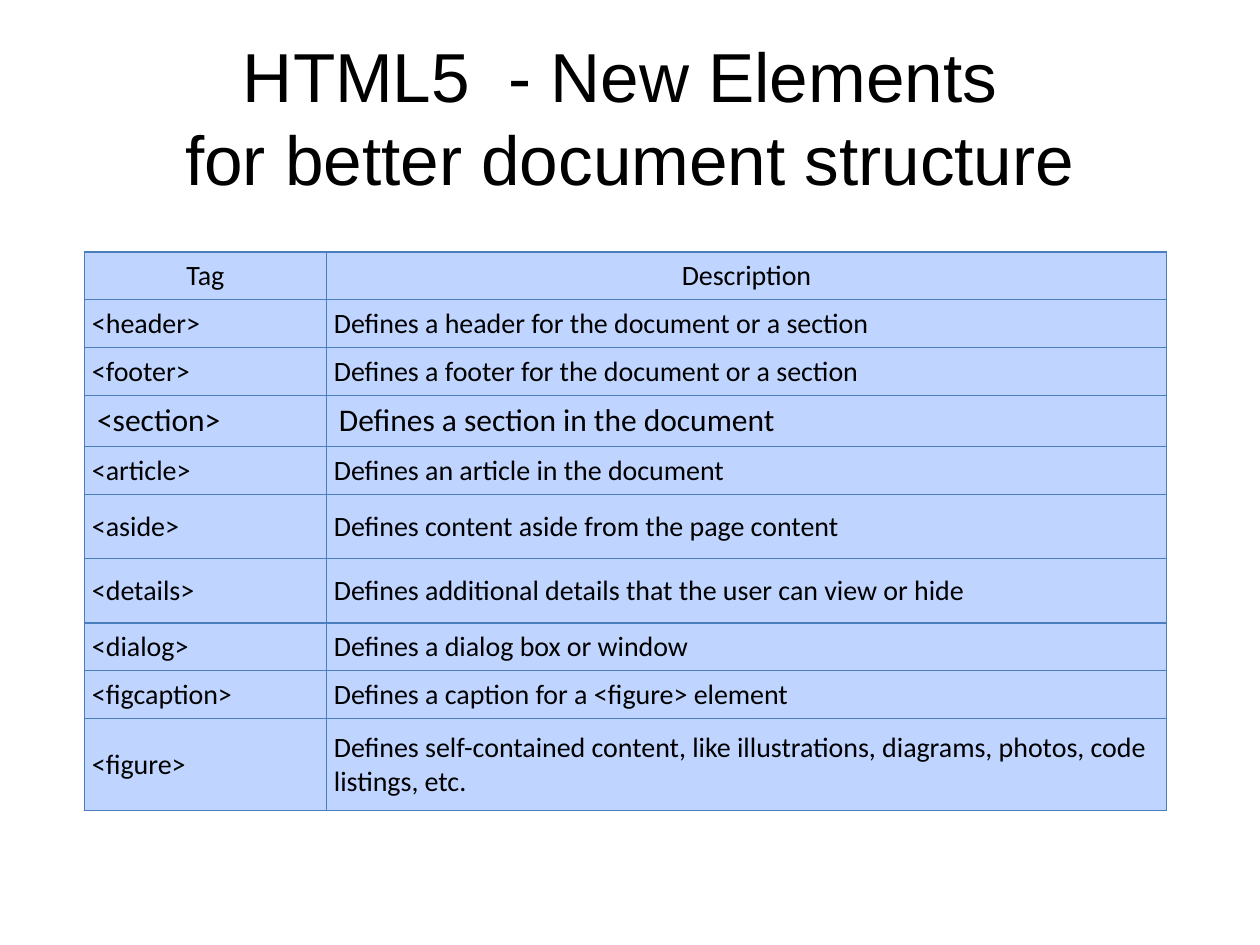
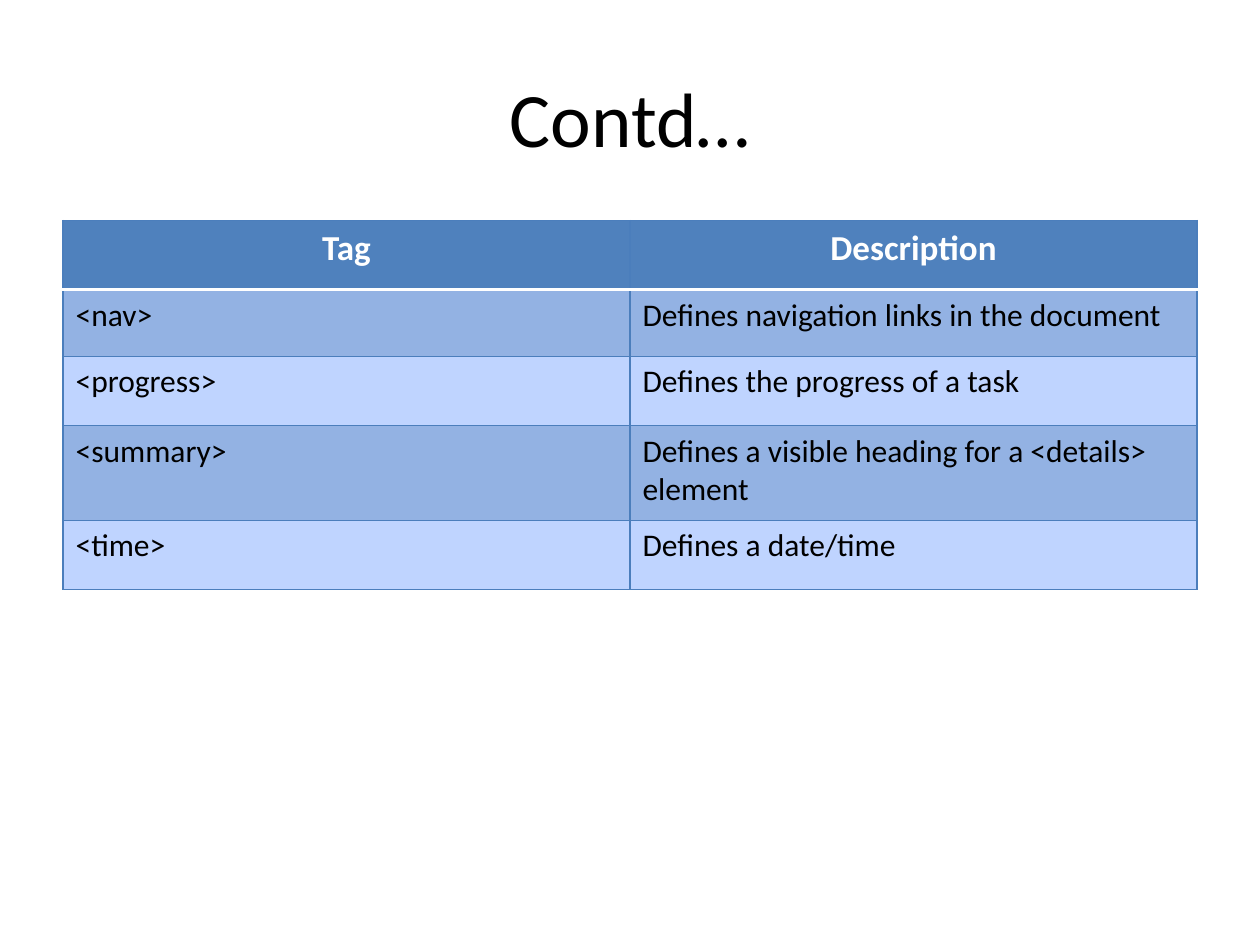
from lxml.etree import SubElement
from pptx import Presentation
from pptx.dml.color import RGBColor
from pptx.enum.text import MSO_ANCHOR, MSO_AUTO_SIZE, PP_ALIGN
from pptx.oxml.ns import qn
from pptx.util import Inches, Pt

# Content
HEAD = ("Tag", "Description")
NEW = [
    ("<header>", "Defines a header for the document or a section"),
    ("<footer>", "Defines a footer for the document or a section"),
    ("<section>", "Defines a section in the document"),
    ("<article>", "Defines an article in the document"),
    ("<aside>", "Defines content aside from the page content"),
    ("<details>", "Defines additional details that the user can view or hide"),
    ("<dialog>", "Defines a dialog box or window"),
    ("<figcaption>", "Defines a caption for a <figure> element"),
    ("<figure>", "Defines self-contained content, like illustrations, "
                 "diagrams, photos, code listings, etc."),
]
MORE = [
    ("<nav>", "Defines navigation links in the document"),
    ("<progress>", "Defines the progress of a task"),
    ("<summary>", "Defines a visible heading for a <details> element"),
    ("<time>", "Defines a date/time"),
]

# Shared style
COLORS = {"text": "000000", "white": "FFFFFF", "line": "4B7EBC",
          "head": "4F81BD", "band": "93B2E3", "pale": "BFD4FF"}
FONT = "Calibri"
TIGHT, LOOSE = (0.06, 0.03), (0.1, 0.05)  # cell margins: side, top and bottom


def style(para, size, color="text", bold=False, center=False, face=FONT):
    font = para.font
    font.name, font.size, font.bold = face, Pt(size), bold
    font.color.rgb = RGBColor.from_string(COLORS[color])
    para.alignment = PP_ALIGN.CENTER if center else PP_ALIGN.LEFT


def add_slide(deck, title, size, face):
    slide = deck.slides.add_slide(deck.slide_layouts[5])
    box = slide.shapes.title
    box.left, box.top = Inches(0.5), Inches(0.3)
    box.width, box.height = Inches(9), Inches(1.25)
    frame = box.text_frame
    frame.text = title
    frame.word_wrap, frame.auto_size = True, MSO_AUTO_SIZE.NONE
    frame.vertical_anchor = MSO_ANCHOR.MIDDLE
    for para in frame.paragraphs:
        style(para, size, center=True, face=face)
    return slide


def add_grid(slide, rows, left, top, widths, heights):
    table = slide.shapes.add_table(
        len(rows), len(widths), Inches(left), Inches(top),
        Inches(sum(widths)), Inches(sum(heights))).table
    table.first_row = table.horz_banding = False
    for col, width in zip(table.columns, widths):
        col.width = Inches(width)
    for row, height in zip(table.rows, heights):
        row.height = Inches(height)
    return table


def set_cell(cell, text, fill, pad, anchor, edges=None, **look):
    cell.text = text
    cell.margin_left = cell.margin_right = Inches(pad[0])
    cell.margin_top = cell.margin_bottom = Inches(pad[1])
    cell.vertical_anchor = anchor
    style(cell.text_frame.paragraphs[0], **look)
    # Borders come before the fill in the cell properties
    props = cell._tc.get_or_add_tcPr()
    for side in "LRTB":
        color, width = (edges or {}).get(side, ("line", 0.75))
        line = SubElement(props, qn(f"a:ln{side}"), w=str(Pt(width)))
        solid = SubElement(line, qn("a:solidFill"))
        SubElement(solid, qn("a:srgbClr"), val=COLORS[color])
    cell.fill.solid()
    cell.fill.fore_color.rgb = RGBColor.from_string(COLORS[fill])


def plain_table(slide):
    rows = [HEAD] + NEW
    heights = [0.38] * 5 + [0.51] * 2 + [0.38] * 2 + [0.73]
    table = add_grid(slide, rows, 0.67, 2, [1.92, 6.67], heights)
    for r, row in enumerate(rows):
        large = row[0] == "<section>"
        for c, text in enumerate(row):
            set_cell(table.cell(r, c), text, "pale",
                     LOOSE if large else TIGHT,
                     MSO_ANCHOR.TOP if large else MSO_ANCHOR.MIDDLE,
                     size=18 if large else 16, center=r == 0)


def banded_table(slide):
    rows = [HEAD] + MORE
    table = add_grid(slide, rows, 0.5, 1.75, [4.5] * 2,
                     [0.55, 0.53, 0.55, 0.75, 0.55])
    rule = ("white", 2)  # line between header and body
    edges = {0: {"B": rule}, 1: {"T": rule}}
    for r, row in enumerate(rows):
        top = r == 0
        fill = "head" if top else "band" if r % 2 else "pale"
        for c, text in enumerate(row):
            set_cell(table.cell(r, c), text, fill, LOOSE, MSO_ANCHOR.TOP,
                     edges.get(r), size=20 if top else 18,
                     color="white" if top else "text", bold=top, center=top)


def main():
    deck = Presentation()
    deck.slide_width, deck.slide_height = Inches(10), Inches(7.5)
    plain_table(add_slide(
        deck, "HTML5  - New Elements \vfor better document structure",
        39.6, "Arial"))
    banded_table(add_slide(deck, "Contd…", 44, FONT))
    deck.save("out.pptx")


if __name__ == "__main__":
    main()
